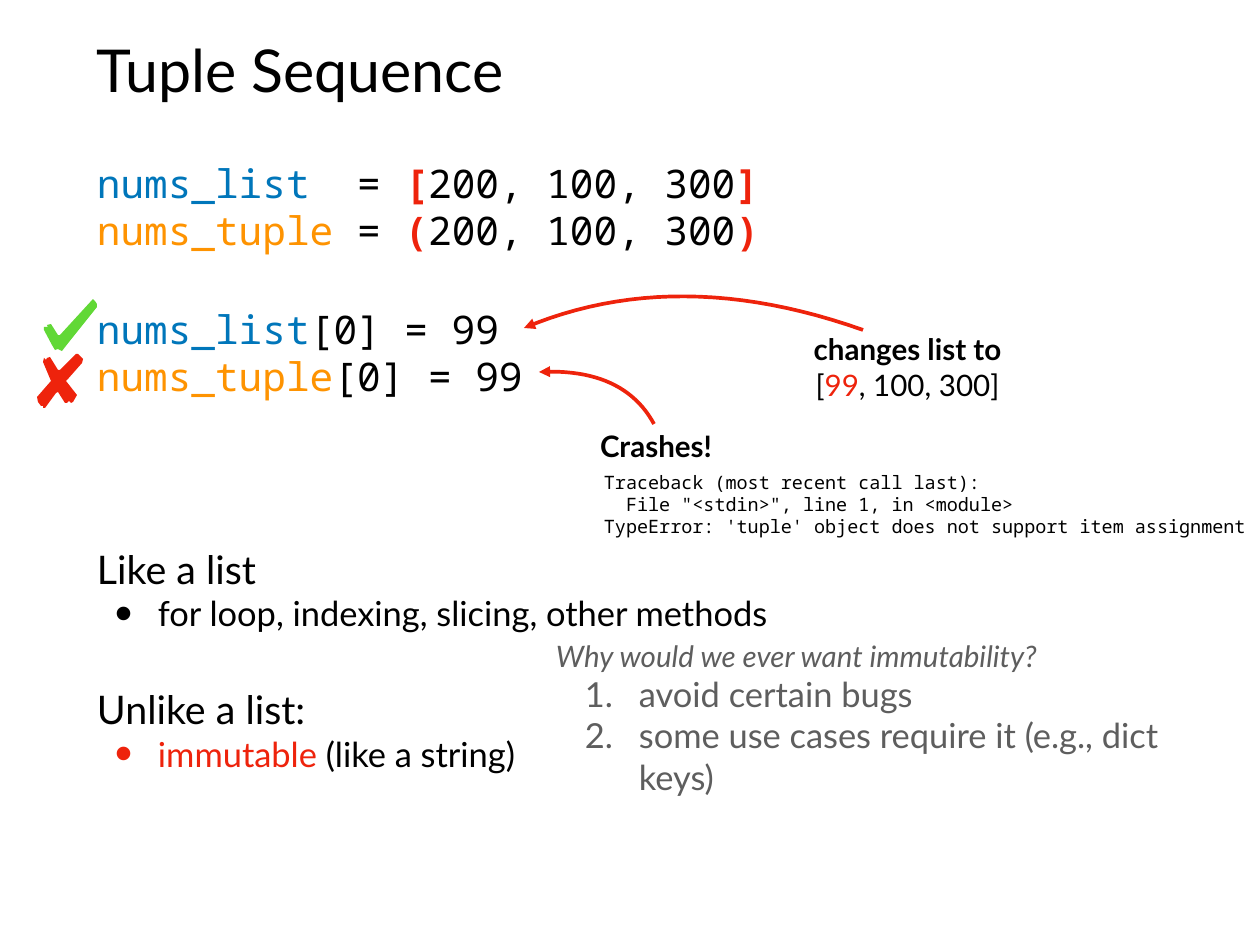
import dataclasses

import lxml.etree
import pptx
import pptx.dml.color
import pptx.enum.text
import pptx.oxml.ns
import pptx.util

SCALE = 914400 / 88.6
BLACK, RED, BLUE = "000000", "EE230C", "0076BA"
ORANGE, GREEN, GRAY = "FE9301", "61D836", "5E5E5E"
MONO = "Noto Sans Mono"
ALIGN = pptx.enum.text.PP_ALIGN
ANCHOR = pptx.enum.text.MSO_ANCHOR

CHECK = [(93, 299), (60, 335), (58, 335), (51, 324), (47, 325), (48, 327),
         (44, 327), (44, 330), (52, 345), (55, 350), (58, 349), (62, 351),
         (69, 342), (97, 307), (97, 304), (95, 301)]
CROSS = [(78, 354), (76, 354), (60, 370), (58, 370), (50, 357), (47, 358),
         (46, 360), (44, 358), (43, 362), (51, 381), (37, 397), (38, 402),
         (41, 406), (43, 406), (43, 408), (45, 408), (56, 393), (58, 392),
         (65, 403), (67, 403), (69, 401), (71, 403), (73, 402), (77, 395),
         (66, 381), (67, 380), (82, 363), (83, 359), (80, 356)]


@dataclasses.dataclass
class Line:
    """One paragraph: runs of (text, colour, bold) or plain text, and its look."""
    runs: list
    size: int
    font: str = "Lato"
    color: str = BLACK
    bold: bool = False
    slant: bool = False
    gap: int = 0
    mark: str = ""
    align: ALIGN = ALIGN.LEFT


def px(length):
    """Turn pixels into EMU."""
    return pptx.util.Emu(round(length * SCALE))


def paint(color):
    """Turn a hex string into a colour."""
    return pptx.dml.color.RGBColor.from_string(color)


def add_tag(parent, tag, **attrs):
    """Append a drawing element to its parent."""
    lxml.etree.SubElement(parent, pptx.oxml.ns.qn(tag), attrs)


def set_mark(para, mark):
    """Give a paragraph a bullet, a number or neither, with its indent."""
    props = para._p.get_or_add_pPr()
    left, hang = {"dot": (61, -43), "num": (83, -54)}.get(mark, (0, 0))
    props.set("marL", str(px(left)))
    props.set("indent", str(px(hang)))
    if mark == "dot":
        add_tag(props, "a:buSzPct", val="145000")
        add_tag(props, "a:buChar", char="•")
    elif mark == "num":
        add_tag(props, "a:buAutoNum", type="arabicPeriod")
    else:
        add_tag(props, "a:buNone")


def add_line(para, line):
    """Write one line into a paragraph."""
    para.alignment = line.align
    para.line_spacing = 1.0
    para.space_before = pptx.util.Pt(line.gap)
    set_mark(para, line.mark)
    font = para.font
    font.name, font.size = line.font, pptx.util.Pt(line.size)
    font.bold, font.italic = line.bold, line.slant
    font.color.rgb = paint(line.color)
    for part in line.runs:
        run = para.add_run()
        if isinstance(part, str):
            run.text = part
        else:
            run.text, color, bold = part
            run.font.color.rgb = paint(color)
            run.font.bold = bold


def fill_text(shape, box, lines, anchor=ANCHOR.MIDDLE, wrap=True):
    """Place a text shape and write its lines."""
    shape.left, shape.top, shape.width, shape.height = map(px, box)
    frame = shape.text_frame
    frame.word_wrap = wrap
    frame.auto_size = pptx.enum.text.MSO_AUTO_SIZE.NONE
    frame.vertical_anchor = anchor
    frame.margin_left = frame.margin_right = px(5)
    frame.margin_top = frame.margin_bottom = px(5)
    for i, line in enumerate(lines):
        add_line(frame.add_paragraph() if i else frame.paragraphs[0], line)


def add_note(slide, box, lines, wrap=False):
    """Add a text box."""
    shape = slide.shapes.add_textbox(0, 0, 0, 0)
    fill_text(shape, box, lines, wrap=wrap)


def add_path(slide, points, close):
    """Add a freeform through pixel points."""
    first, *rest = [(px(x), px(y)) for x, y in points]
    path = slide.shapes.build_freeform(*first)
    path.add_line_segments(rest, close=close)
    shape = path.convert_to_shape()
    shape.shadow.inherit = False
    return shape


def add_sign(slide, points, color):
    """Add a filled sign without outline."""
    shape = add_path(slide, points, True)
    shape.fill.solid()
    shape.fill.fore_color.rgb = paint(color)
    shape.line.fill.background()


def add_arrow(slide, a, b, c, d, steps=24):
    """Add a red curved arrow along a cubic curve."""
    points = []
    for i in range(steps + 1):
        t = i / steps
        u = 1 - t
        parts = (u ** 3, 3 * u * u * t, 3 * u * t * t, t ** 3)
        points.append([sum(w * v for w, v in zip(parts, axis))
                       for axis in zip(a, b, c, d)])
    shape = add_path(slide, points, False)
    shape.fill.background()
    shape.line.color.rgb = paint(RED)
    shape.line.width = pptx.util.Pt(3)
    add_tag(shape.element.spPr.find(pptx.oxml.ns.qn("a:ln")),
            "a:tailEnd", type="triangle")


def assign(name, color, marks):
    """Make a code line that fills a sequence."""
    start, end = marks
    return Line([(name, color, False), f"{' ' * (11 - len(name))}= ",
                 (start, RED, True), "200, 100, 300", (end, RED, True)],
                32, MONO)


def change(name, color, gap=0):
    """Make a code line that changes an item."""
    return Line([(name, color, False), "[0] = 99"], 32, MONO, gap=gap)


def main():
    """Build the slide and save it."""
    deck = pptx.Presentation()
    deck.slide_width, deck.slide_height = px(1260), px(945)
    slide = deck.slides.add_slide(deck.slide_layouts[3])
    title, code, facts = list(slide.placeholders)[:3]
    for spare in list(slide.placeholders)[3:]:
        spare.element.getparent().remove(spare.element)

    fill_text(title, (92, 25, 1076, 88), [Line(["Tuple Sequence"], 48)])
    fill_text(code, (92, 154, 1076, 325), [
        assign("nums_list", BLUE, "[]"),
        assign("nums_tuple", ORANGE, "()"),
        change("nums_list", BLUE, 42),
        change("nums_tuple", ORANGE)], ANCHOR.TOP)
    fill_text(facts, (92, 540, 1076, 263), [
        Line(["Like a list"], 32),
        Line(["for loop, indexing, slicing, other methods"], 28, mark="dot"),
        Line(["Unlike a list:"], 32, gap=42),
        Line([("immutable", RED, False), " (like a string)"], 28, mark="dot"),
    ], ANCHOR.TOP)

    add_note(slide, (599, 466, 656, 76), [Line([text], 15, MONO) for text in (
        "Traceback (most recent call last):",
        '  File "<stdin>", line 1, in <module>',
        "TypeError: 'tuple' object does not support item assignment")])
    add_note(slide, (595, 424, 122, 44),
             [Line(["Crashes!"], 24, bold=True, align=ALIGN.CENTER)])
    add_arrow(slide, (654, 424), (634, 387), (596, 369), (539, 372))
    add_note(slide, (809, 327, 197, 79), [
        Line(["changes list to"], 24, bold=True, align=ALIGN.CENTER),
        Line(["[", ("99", RED, False), ", 100, 300]"], 24,
             align=ALIGN.CENTER)])
    add_arrow(slide, (863, 330), (739, 286), (626, 285), (524, 328))
    add_note(slide, (551, 656, 662, 123), [
        Line(["Why would we ever want immutability?"], 24, color=GRAY,
             slant=True),
        Line(["avoid certain bugs"], 28, color=GRAY, mark="num"),
        Line(["some use cases require it (e.g., dict keys)"], 28, color=GRAY,
             mark="num")], wrap=True)
    add_sign(slide, CHECK, GREEN)
    add_sign(slide, CROSS, RED)
    deck.save("out.pptx")


main()
